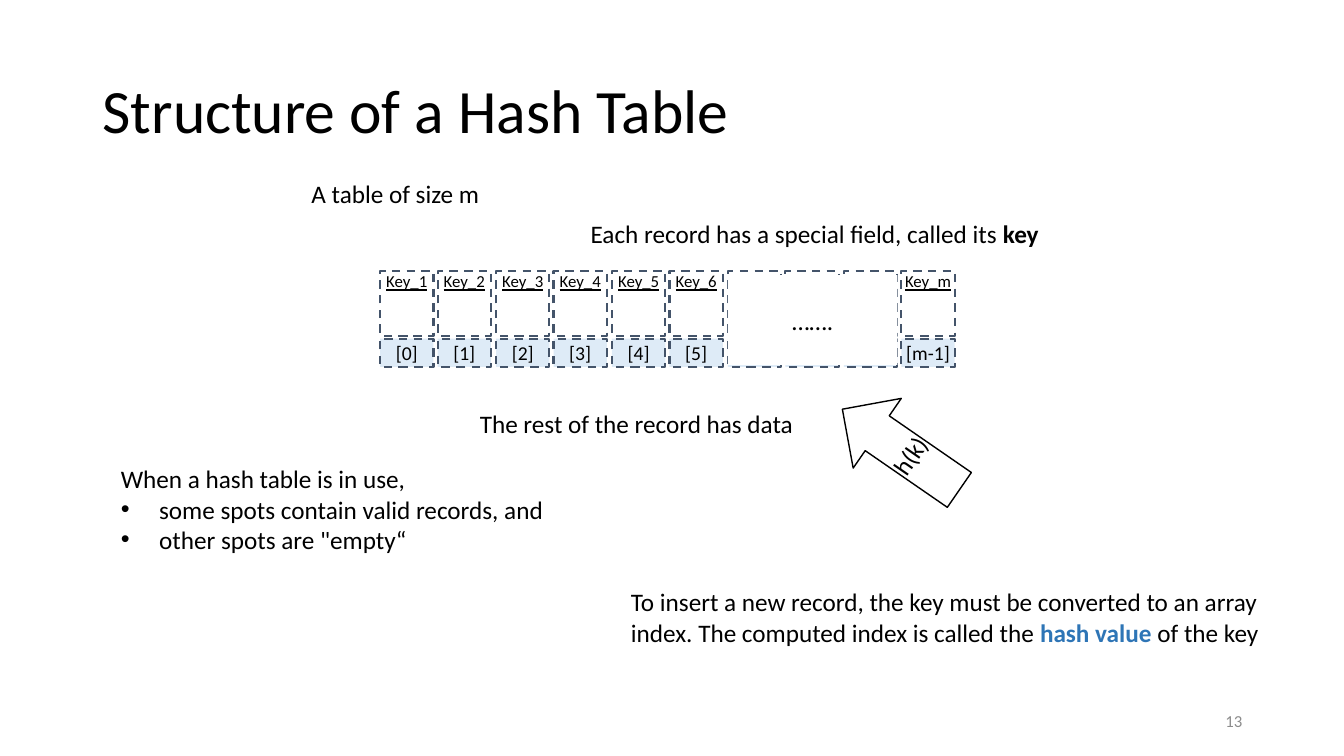
from lxml.etree import SubElement
from pptx import Presentation
from pptx.dml.color import RGBColor
from pptx.enum.dml import MSO_LINE
from pptx.enum.shapes import MSO_SHAPE
from pptx.enum.text import MSO_ANCHOR, PP_ALIGN
from pptx.oxml.ns import qn
from pptx.util import Pt

PX = 9144  # EMU, 100 px to the inch
BLACK, WHITE, GREY = "000000", "FFFFFF", "8C8C8C"
SLATE, PALE_BLUE, BLUE = "44546A", "DEEBF7", "2E75B6"
SLOTS = 10
KEYS = {**{i: f"Key_{i + 1}" for i in range(6)}, SLOTS - 1: "Key_m"}
INDEXES = {**{i: f"[{i}]" for i in range(6)}, SLOTS - 1: "[m-1]"}


def rgb(color):
    return RGBColor.from_string(color)


def px(*lengths):
    return [round(length * PX) for length in lengths]


def style_runs(paragraph, size, color=BLACK):
    for run in paragraph.runs:
        run.font.name = "Calibri"
        run.font.size = Pt(size)
        run.font.color.rgb = rgb(color)


def add_label(slide, box, text, size=18, color=BLACK, wrap=False,
              anchor=MSO_ANCHOR.TOP, align=PP_ALIGN.LEFT):
    frame = slide.shapes.add_textbox(*px(*box)).text_frame
    frame.word_wrap = wrap
    frame.vertical_anchor = anchor
    frame.text = text
    for paragraph in frame.paragraphs:
        paragraph.alignment = align
        style_runs(paragraph, size, color)
    return frame


def add_emphasis(paragraph, text, color=BLACK, bold=True):
    run = paragraph.add_run()
    run.text = text
    run.font.name = "Calibri"
    run.font.size = Pt(18)
    run.font.bold = bold
    run.font.color.rgb = rgb(color)


def add_block(slide, kind, box, text="", size=18, fill=WHITE,
              anchor=MSO_ANCHOR.MIDDLE, wrap=False):
    """Add a filled shape without outline, with centred text and no insets."""
    block = slide.shapes.add_shape(kind, *px(*box))
    block.shadow.inherit = False
    block.fill.solid()
    block.fill.fore_color.rgb = rgb(fill)
    block.line.fill.background()
    frame = block.text_frame
    frame.margin_left = frame.margin_right = 0
    frame.margin_top = frame.margin_bottom = 0
    frame.word_wrap = wrap
    frame.vertical_anchor = anchor
    frame.text = text
    frame.paragraphs[0].alignment = PP_ALIGN.CENTER
    style_runs(frame.paragraphs[0], size)
    return block


def set_outline(block, color, width):
    block.line.fill.solid()
    block.line.fill.fore_color.rgb = rgb(color)
    block.line.width = Pt(width)


def add_slot_row(slide, box, labels, size, fill, anchor, underline):
    left, top, width, height = box
    slot_width = 53
    for i in range(SLOTS):
        offset = round((width - slot_width) * i / (SLOTS - 1))
        slot = add_block(slide, MSO_SHAPE.RECTANGLE,
                         (left + offset, top, slot_width, height),
                         labels.get(i, ""), size, fill, anchor)
        set_outline(slot, SLATE, 1.5)
        slot.line.dash_style = MSO_LINE.DASH
        for run in slot.text_frame.paragraphs[0].runs:
            run.font.underline = underline


def add_hash_table(slide, box):
    left, top, width, height = box
    add_slot_row(slide, (left, top, width, 64), KEYS, 12, WHITE,
                 MSO_ANCHOR.TOP, True)
    add_slot_row(slide, (left, top + height - 28, width, 28), INDEXES, 14,
                 PALE_BLUE, MSO_ANCHOR.MIDDLE, False)
    add_block(slide, MSO_SHAPE.RECTANGLE,
              (left + 345, top + 4, 168, height - 6), "…….")


def add_table_notes(slide, box):
    """Place the notes around the hash table."""
    left, top, _, _ = box
    add_label(slide, (left, top, 189, 40), "A table of size m")
    record = add_label(slide, (left + 277, top + 40, 474, 40),
                       "Each record has a special field, called its ")
    add_emphasis(record.paragraphs[0], "key")
    add_label(slide, (left + 167, top + 228, 335, 40),
              "The rest of the record has data")


def add_usage_list(slide, box):
    frame = add_label(slide, box, "When a hash table is in use,\n"
                      "some spots contain valid records, and\n"
                      "other spots are \"empty“", wrap=True)
    indent, = px(38)
    for paragraph in frame.paragraphs[1:]:
        properties = paragraph._p.get_or_add_pPr()
        properties.set("marL", str(indent))
        properties.set("indent", str(-indent))
        SubElement(properties, qn("a:buFont")).set("typeface", "Arial")
        SubElement(properties, qn("a:buChar")).set("char", "•")


def add_insert_note(slide, box):
    frame = add_label(slide, box, "To insert a new record, the key must be "
                      "converted to an array index. The computed index is "
                      "called the ", wrap=True)
    add_emphasis(frame.paragraphs[0], "hash value", BLUE)
    add_emphasis(frame.paragraphs[0], " of the key", bold=False)


def add_hash_arrow(slide, box):
    arrow = add_block(slide, MSO_SHAPE.RIGHT_ARROW, box, "h(k)", wrap=True)
    set_outline(arrow, BLACK, 1)
    arrow.rotation = 214.6
    arrow.text_frame._txBody.bodyPr.set("vert", "vert")


def build_hash_table_slide(presentation):
    slide = presentation.slides.add_slide(presentation.slide_layouts[6])
    title = add_label(slide, (92, 40, 1150, 145), "Structure of a Hash Table",
                      44, wrap=True, anchor=MSO_ANCHOR.MIDDLE)
    title.paragraphs[0].line_spacing = 0.9
    add_label(slide, (942, 695, 300, 40), "13", 12, GREY, True,
              MSO_ANCHOR.MIDDLE, PP_ALIGN.RIGHT)
    add_hash_table(slide, (377, 269, 570, 95))
    add_table_notes(slide, (299, 172, 751, 268))
    add_usage_list(slide, (110, 455, 667, 101))
    add_insert_note(slide, (616, 577, 667, 71))
    add_hash_arrow(slide, (823, 404, 141, 84))


def main():
    presentation = Presentation()
    presentation.slide_width, presentation.slide_height = px(1333, 750)
    build_hash_table_slide(presentation)
    presentation.save("out.pptx")


if __name__ == "__main__":
    main()
